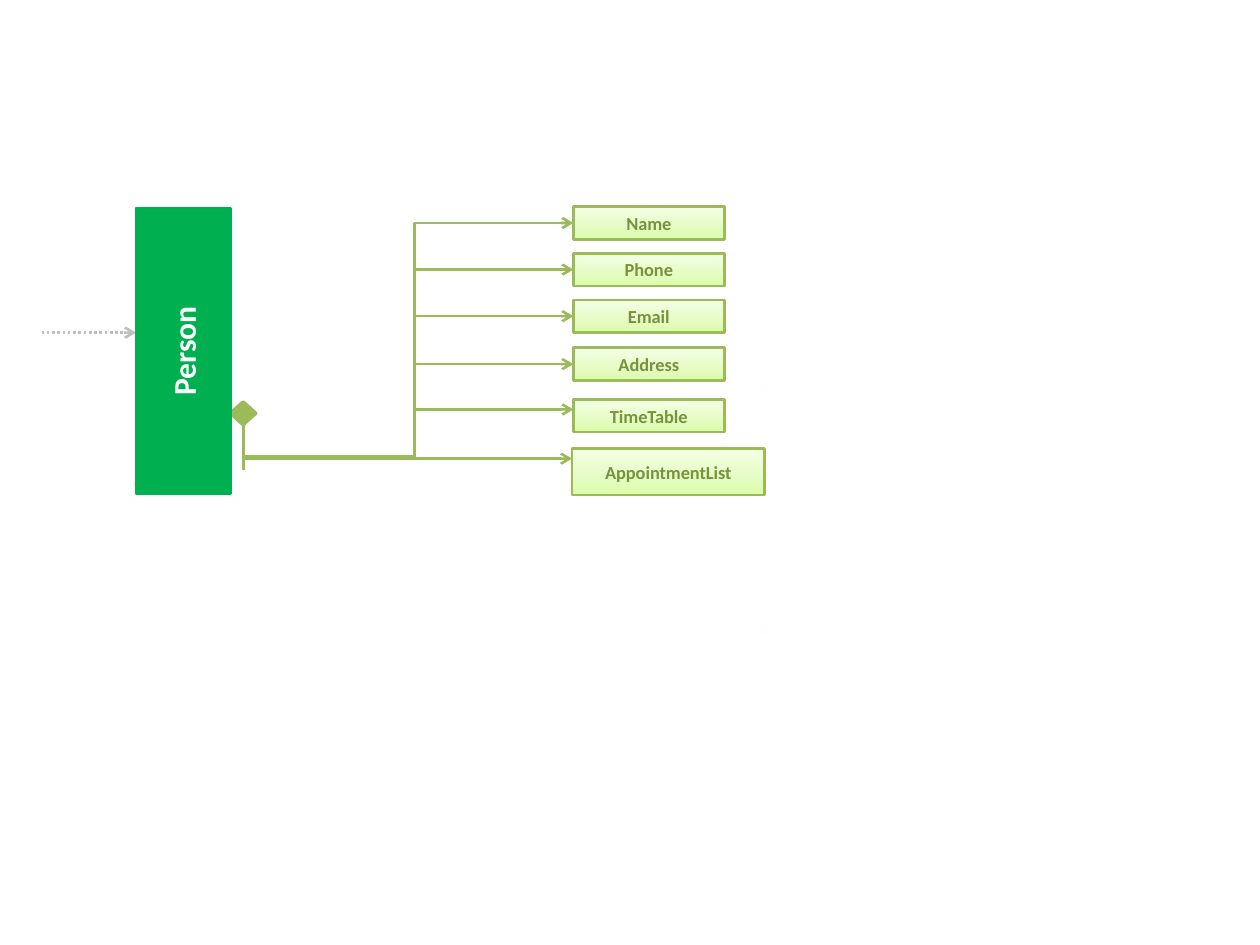
from lxml.etree import SubElement
from pptx import Presentation
from pptx.dml.color import RGBColor
from pptx.enum.dml import MSO_LINE
from pptx.enum.shapes import MSO_CONNECTOR, MSO_SHAPE
from pptx.enum.text import MSO_ANCHOR, PP_ALIGN
from pptx.oxml.ns import qn
from pptx.util import Inches, Pt

GREEN = RGBColor(0x00, 0xB0, 0x50)
OLIVE = RGBColor(0x9B, 0xBB, 0x59)
DARK_OLIVE = RGBColor(0x77, 0x93, 0x3C)
PALE = RGBColor(0xEB, 0xF1, 0xDE)
GRAY = RGBColor(0xBF, 0xBF, 0xBF)
WHITE = RGBColor(0xFF, 0xFF, 0xFF)
GRADIENT = [(0, "DAFDA7"), (35, "E4FCC2"), (100, "F5FFE7")]

# Attribute boxes: label, left, top, width, height
ATTRIBUTES = [
    ("Name", 4.55, 1.64, 1.2, 0.26),
    ("Phone", 4.55, 2.01, 1.2, 0.26),
    ("Email", 4.55, 2.38, 1.2, 0.26),
    ("Address", 4.55, 2.76, 1.2, 0.26),
    ("TimeTable", 4.55, 3.17, 1.2, 0.26),
    ("AppointmentList", 4.54, 3.56, 1.53, 0.37),
]
# Start and end heights of the branches that share one trunk
BRANCHES = [(3.37, 1.77), (3.37, 2.14), (3.37, 2.51), (3.37, 2.89), (3.73, 3.25)]
STEM_X, TRUNK_X, BOX_X, BUS_Y = 1.93, 3.29, 4.55, 3.62


def add_box(slide, preset, left, top, width, height, fill=None, line=None, weight=1.5):
    shape = slide.shapes.add_shape(
        preset, Inches(left), Inches(top), Inches(width), Inches(height))
    shape.shadow.inherit = False
    if fill is not None:
        shape.fill.solid()
        shape.fill.fore_color.rgb = fill
    if line is None:
        shape.line.fill.background()
    else:
        shape.line.color.rgb = line
        shape.line.width = Pt(weight)
    return shape


def set_text(shape, text, size, color, bold=True):
    frame = shape.text_frame
    frame.word_wrap = True
    frame.vertical_anchor = MSO_ANCHOR.MIDDLE
    paragraph = frame.paragraphs[0]
    paragraph.alignment = PP_ALIGN.CENTER
    run = paragraph.add_run()
    run.text = text
    run.font.name = "Calibri"
    run.font.size = Pt(size)
    run.font.bold = bold
    run.font.color.rgb = color


def set_gradient(shape):
    shape.fill.gradient()
    shape.fill.gradient_angle = 90
    stops = shape._element.spPr.find(qn("a:gradFill")).find(qn("a:gsLst"))
    for stop in list(stops):
        stops.remove(stop)
    for position, color in GRADIENT:
        stop = SubElement(stops, qn("a:gs"), pos=str(position * 1000))
        SubElement(stop, qn("a:srgbClr"), val=color)


def add_attribute(slide, label, left, top, width, height):
    shape = add_box(slide, MSO_SHAPE.RECTANGLE, left, top, width, height, line=OLIVE)
    set_gradient(shape)
    set_text(shape, label, size=10.5, color=DARK_OLIVE)


def add_arrow(slide, begin, end, color):
    connector = slide.shapes.add_connector(
        MSO_CONNECTOR.ELBOW, *(Inches(value) for value in (*begin, *end)))
    connector.line.color.rgb = color
    connector.line.width = Pt(1.5)
    SubElement(connector.line._get_or_add_ln(), qn("a:tailEnd"), type="arrow")
    SubElement(connector._element.spPr, qn("a:effectLst"))
    return connector


def add_turned_arrow(slide, begin, end, rotation, preset, adjustments=()):
    """Elbow arrow that leaves its start vertically: a quarter-turned connector."""
    middle_x, middle_y = (begin[0] + end[0]) / 2, (begin[1] + end[1]) / 2
    half_width = abs(end[1] - begin[1]) / 2
    half_height = (end[0] - begin[0]) / 2
    if rotation == 270:
        half_height = -half_height
    connector = add_arrow(
        slide,
        (middle_x + half_width, middle_y + half_height),
        (middle_x - half_width, middle_y - half_height),
        OLIVE)
    connector.rotation = rotation
    geometry = connector._element.spPr.find(qn("a:prstGeom"))
    geometry.set("prst", preset)
    guides = geometry.find(qn("a:avLst"))
    if guides is None:
        guides = SubElement(geometry, qn("a:avLst"))
    for number, value in enumerate(adjustments, 1):
        SubElement(guides, qn("a:gd"), name=f"adj{number}",
                   fmla=f"val {round(value * 100000)}")


def add_soft_patch(slide, left, top):
    shape = add_box(slide, MSO_SHAPE.RECTANGLE, left, top, 0.25, 0.18, fill=PALE)
    properties = shape._element.spPr
    color = properties.find(qn("a:solidFill")).find(qn("a:srgbClr"))
    SubElement(color, qn("a:alpha"), val="80000")
    SubElement(properties.find(qn("a:effectLst")), qn("a:softEdge"), rad=str(Pt(5)))


def main():
    presentation = Presentation()
    presentation.slide_width = Inches(10)
    presentation.slide_height = Inches(7.5)
    slide = presentation.slides.add_slide(presentation.slide_layouts[6])

    # Incoming dotted arrow
    incoming = add_arrow(slide, (0.33, 2.64), (1.08, 2.64), GRAY)
    incoming.line.dash_style = MSO_LINE.ROUND_DOT

    # Composition diamond and branches to the attributes
    add_box(slide, MSO_SHAPE.FLOWCHART_DECISION, 1.83, 3.19, 0.2, 0.18,
            fill=OLIVE, line=OLIVE, weight=2)
    trunk_share = (TRUNK_X - STEM_X) / (BOX_X - STEM_X)
    for start_y, end_y in BRANCHES:
        bus_share = (start_y - BUS_Y) / (start_y - end_y)
        add_turned_arrow(slide, (STEM_X, start_y), (BOX_X, end_y), 90,
                         "bentConnector4", (bus_share, trunk_share))
    add_turned_arrow(slide, (STEM_X, 3.26), (4.54, 3.64), 270, "bentConnector2")

    # Person class, turned to read upwards
    person = add_box(slide, MSO_SHAPE.RECTANGLE, 0.32, 2.41, 2.27, 0.75,
                     fill=GREEN, line=GREEN)
    person.rotation = 270
    set_text(person, "Person", size=18, color=WHITE)

    # Attribute boxes
    for attribute in ATTRIBUTES:
        add_attribute(slide, *attribute)

    # Faint soft patches
    for top in (3, 4.91):
        add_soft_patch(slide, 5.94, top)

    presentation.save("out.pptx")


if __name__ == "__main__":
    main()
